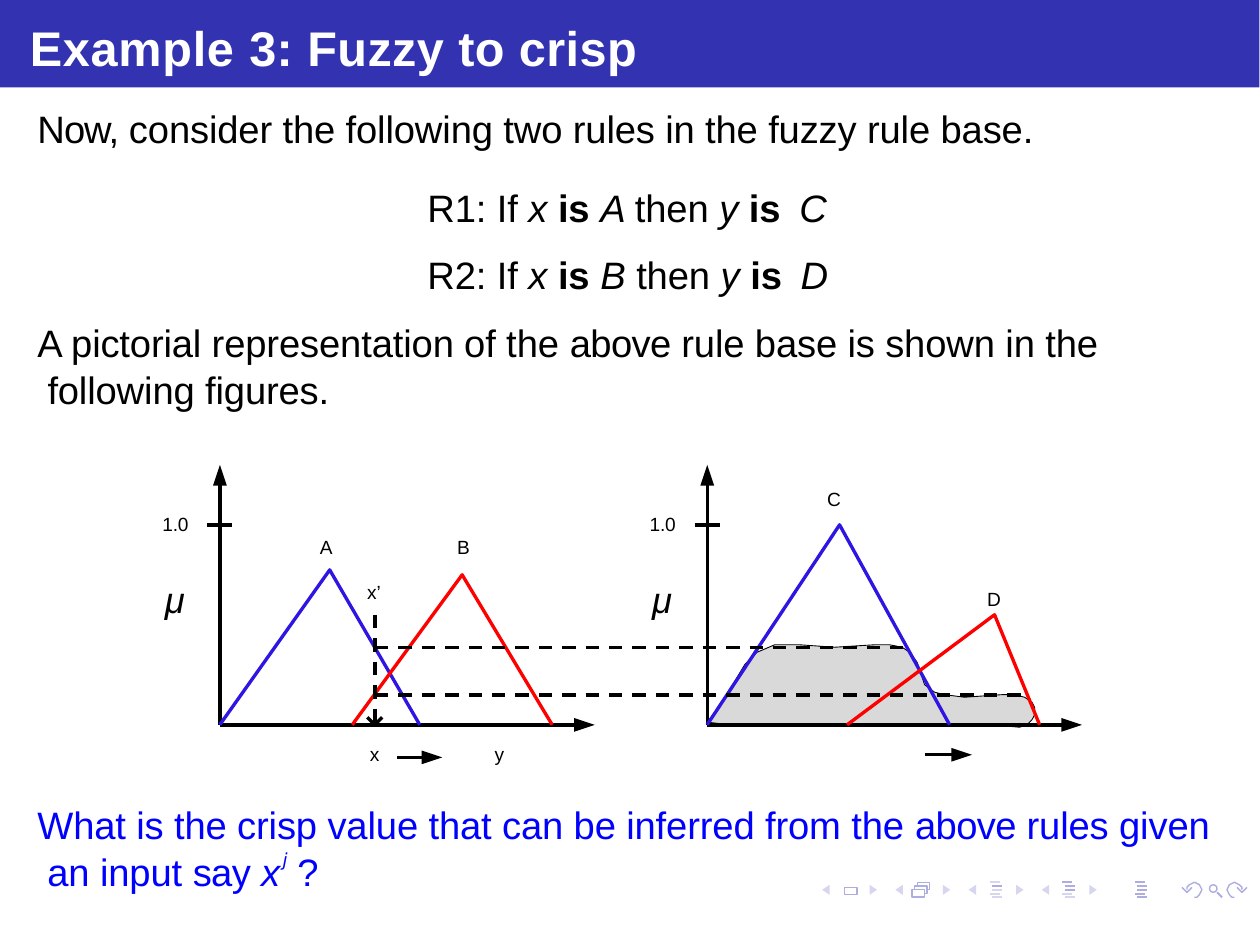
from dataclasses import dataclass, field

from pptx import Presentation
from pptx.dml.color import RGBColor
from pptx.enum.dml import MSO_LINE
from pptx.enum.shapes import MSO_CONNECTOR, MSO_SHAPE
from pptx.oxml.ns import qn
from pptx.util import Inches, Pt

DASH = MSO_LINE.DASH
STRAIGHT = MSO_CONNECTOR.STRAIGHT
RECT, OVAL = MSO_SHAPE.RECTANGLE, MSO_SHAPE.OVAL

BLACK = RGBColor(0x00, 0x00, 0x00)
WHITE = RGBColor(0xFF, 0xFF, 0xFF)
HEADER = RGBColor(0x33, 0x33, 0xB2)
BLUE = RGBColor(0x00, 0x00, 0xFF)
INDIGO = RGBColor(0x2E, 0x15, 0xE2)
RED = RGBColor(0xFF, 0x00, 0x00)
GRAY = RGBColor(0xD9, 0xD9, 0xD9)
NAV_DARK = RGBColor(0xAD, 0xAD, 0xE0)
NAV_LIGHT = RGBColor(0xD6, 0xD6, 0xEF)

STROKE = 0.97
BASE = 2.9  # height of the horizontal axes
Points = list[tuple[float, float]]


@dataclass
class Run:
    text: str
    fmt: dict = field(default_factory=dict)
    spc: float = -0.05
    raised: int = 0
    color: RGBColor = BLACK


@dataclass
class Para:
    runs: list[Run]
    fmt: dict = field(default_factory=dict)
    left: float = 0.01
    hang: float = 0
    tab: float = 0


@dataclass
class Plot:
    x0: float
    arrow: tuple[float, float, float]
    sets: list[tuple[Points, RGBColor]]


@dataclass
class Label:
    text: str
    x: float
    y: float


prs = Presentation()
prs.slide_width, prs.slide_height = Pt(363), Pt(272.5)
s = prs.slides.add_slide(prs.slide_layouts[6])


def style(sp, fill: RGBColor | None, line: RGBColor | None, width: float) -> None:
    sp.shadow.inherit = False
    if fill is None:
        sp.fill.background()
    else:
        sp.fill.solid()
        sp.fill.fore_color.rgb = fill
    if line is None:
        sp.line.fill.background()
    else:
        sp.line.color.rgb = line
        sp.line.width = Pt(width)


def shape(kind, x: float, y: float, w: float, h: float, fill=None, line=None, width=0.4) -> None:
    sp = s.shapes.add_shape(kind, Inches(x), Inches(y), Inches(w), Inches(h))
    style(sp, fill, line, width)


def outline(pts: Points, close=False, fill=None, line=None, width=STROKE) -> None:
    emu = [(Inches(x), Inches(y)) for x, y in pts]
    fb = s.shapes.build_freeform(*emu[0])
    fb.add_line_segments(emu[1:], close=close)
    style(fb.convert_to_shape(), fill, line, width)


def line(x1: float, y1: float, x2: float, y2: float, color=BLACK, width=STROKE,
         dashed=False, arrow=False) -> None:
    c = s.shapes.add_connector(STRAIGHT, *map(Inches, (x1, y1, x2, y2)))
    c.line.color.rgb, c.line.width = color, Pt(width)
    if dashed:
        c.line.dash_style = DASH
    pr = c._element.spPr
    if arrow:
        ln = pr.find(qn("a:ln"))
        ln.append(ln.makeelement(qn("a:tailEnd"), {"type": "triangle", "w": "sm", "len": "med"}))
    pr.append(pr.makeelement(qn("a:effectLst"), {}))


def text(x: float, y: float, w: float, h: float, paras: list[Para], size: float) -> None:
    tf = s.shapes.add_textbox(*map(Inches, (x, y, w, h))).text_frame
    tf.word_wrap = True
    tf.margin_left = tf.margin_right = tf.margin_bottom = 0
    tf.margin_top = Inches(0.02)
    for i, para in enumerate(paras):
        p = tf.paragraphs[0] if i == 0 else tf.add_paragraph()
        for name, value in para.fmt.items():
            setattr(p, name, value)
        pr = p._p.get_or_add_pPr()
        pr.set("marL", str(Inches(para.left + para.hang)))
        pr.set("indent", str(Inches(-para.hang)))
        if para.tab:
            tabs = pr.makeelement(qn("a:tabLst"), {})
            tabs.append(pr.makeelement(qn("a:tab"), {"pos": str(Inches(para.tab)), "algn": "l"}))
            pr.append(tabs)
        for run in para.runs:
            r = p.add_run()
            r.text = run.text
            for name, value in {"name": "Arial", "size": Pt(size), **run.fmt}.items():
                setattr(r.font, name, value)
            r.font.color.rgb = run.color
            rpr = r._r.get_or_add_rPr()
            rpr.set("spc", str(round(run.spc * 100)))
            if run.raised:
                rpr.set("baseline", str(run.raised * 1000))


def label(text_: str, x: float, y: float) -> None:
    text(x, y, 0.2, 0.12, [Para([Run(text_)])], 5.5)


# Navigation symbols
for i in range(4):
    for x, dx in ((3.32, -0.03), (3.48, 0.03)):
        x += 0.293 * i
        outline([(x, 3.54), (x + dx, 3.56), (x, 3.58)], True, NAV_LIGHT)
shape(RECT, 3.38, 3.55, 0.05, 0.03, line=NAV_DARK)
for x, y in ((3.67, 3.53), (3.66, 3.545), (3.65, 3.56)):
    shape(RECT, x, y, 0.05, 0.03, WHITE, NAV_DARK)
for x, tones in ((3.96, "LDLLL"), (4.25, "DDDLL"), (4.54, "DDDDD")):
    for tone, dx, y in zip(tones, (0, 0.01, 0.01, 0, 0.01), (3.53, 3.545, 3.56, 3.575, 3.59)):
        line(x + dx, y, x + dx + 0.04, y, NAV_DARK if tone == "D" else NAV_LIGHT, 0.6)
shape(OVAL, 4.84, 3.54, 0.03, 0.03, line=NAV_DARK)
line(4.87, 3.57, 4.89, 3.59, NAV_DARK, 0.6)
LOOP = [(4.78, 3.59), (4.79, 3.59), (4.8, 3.58), (4.81, 3.56), (4.8, 3.54), (4.78, 3.53),
        (4.76, 3.54), (4.75, 3.55), (4.75, 3.56)]
LOOP_HEAD = [(4.77, 3.55), (4.75, 3.57), (4.73, 3.55)]
for pts in (LOOP, LOOP_HEAD):
    outline(pts, line=NAV_DARK, width=0.4)
    outline([(9.72 - x, y) for x, y in pts], line=NAV_DARK, width=0.4)

# Header
shape(RECT, 0, 0, 5.04, 0.35, HEADER)
bold, italic = {"bold": True}, {"italic": True}
text(0.11, 0.05, 2.6, 0.27, [Para([Run("Example ", bold, 0.2, color=WHITE),
                                   Run("3: Fuzzy to crisp", bold, 0.1, color=WHITE)])], 14)


# Rules
def rule(name: str, cause: str, effect: str, before: float) -> Para:
    return Para([Run(f"{name}: If "), Run("x ", italic), Run("is ", bold),
                 Run(f"{cause} ", italic), Run("then "), Run("y ", italic),
                 Run("is", bold), Run(" ", bold, 2.3), Run(effect, italic)],
                {"space_before": Pt(before)}, 1.57)


text(0.14, 0.4, 4.29, 1.26, [
    Para([Run("Now, ", spc=-0.3),
          Run("consider the following two rules in the fuzzy rule base.")]),
    rule("R1", "A", "C", 9.6),
    rule("R2", "B", "D", 6),
    Para([Run("A pictorial representation of the "), Run("above ", spc=-0.2),
          Run("rule base is shown in the following figures.")],
         {"space_before": Pt(6), "line_spacing": 1.03}, hang=0.04)], 11)

# Combined output area
AREA = [(2.83, 2.89), (2.86, 2.85), (2.92, 2.76), (2.98, 2.66), (3.03, 2.61), (3.1, 2.58),
        (3.2, 2.58), (3.34, 2.59), (3.5, 2.58), (3.56, 2.58), (3.61, 2.59), (3.64, 2.61),
        (3.67, 2.65), (3.7, 2.74), (3.74, 2.77), (3.78, 2.78), (3.86, 2.79), (4.01, 2.78),
        (4.06, 2.78), (4.1, 2.79), (4.13, 2.81), (4.14, 2.83), (4.14, 2.86), (4.13, 2.88),
        (4.11, 2.9), (4.08, 2.91), (3.97, 2.9), (2.92, 2.9)]
outline(AREA, True, GRAY, BLACK, 0.25)

# Membership plots
PLOTS = [
    Plot(0.88, (1.59, 1.77, 3.03), [([(0.88, BASE), (1.32, 2.28), (1.68, BASE)], INDIGO),
                                    ([(1.41, BASE), (1.85, 2.3), (2.21, BASE)], RED)]),
    Plot(2.83, (3.7, 3.89, 3.02), [([(2.83, BASE), (3.36, 2.1), (3.8, BASE)], INDIGO),
                                   ([(3.39, BASE), (3.98, 2.46), (4.16, BASE)], RED)]),
]
for plot in PLOTS:
    x0 = plot.x0
    line(x0, BASE, x0, 1.86, arrow=True)
    line(x0, BASE, x0 + 1.5, BASE, arrow=True)
    line(x0 - 0.05, 2.1, x0 + 0.05, 2.1)
    for pts, color in plot.sets:
        outline(pts, line=color)
    start, end, y = plot.arrow
    line(start, y, end, y, arrow=True)
    label("1.0", x0 - 0.24, 2.03)
    text(x0 - 0.23, 2.29, 0.16, 0.2, [Para([Run("μ", italic, -0.3)])], 10.5)

# Input x’ and its membership levels
line(1.5, 2.46, 1.5, BASE, dashed=True)
outline([(1.47, 2.87), (1.5, BASE), (1.53, 2.87)], line=BLACK)
for x, y in ((3.63, 2.59), (4.11, 2.78)):
    line(1.5, y, x, y, dashed=True)

LABELS = [Label("A", 1.27, 2.12), Label("B", 1.82, 2.12), Label("C", 3.3, 1.93),
          Label("D", 3.94, 2.33), Label("x’", 1.46, 2.3)]
for item in LABELS:
    label(item.text, item.x, item.y)

# Axis names and question
text(0.1, 2.95, 4.8, 0.64, [
    Para([Run("x\ty", {"size": Pt(5.5)})], left=1.38, tab=3.5),
    Para([Run("What is the crisp value that can be inferred from the ", color=BLUE),
          Run("above ", spc=-0.2, color=BLUE),
          Run("rules given an input ", color=BLUE),
          Run("say ", spc=-0.2, color=BLUE),
          Run("x", italic, 0.7, color=BLUE),
          Run("j ", {"name": "DejaVu Sans", "size": Pt(9), **italic}, 0.6, 65, BLUE),
          Run("?", color=BLUE)],
         {"space_before": Pt(10), "line_spacing": 1.03}, 0.05, 0.04)], 11)

prs.save("out.pptx")
